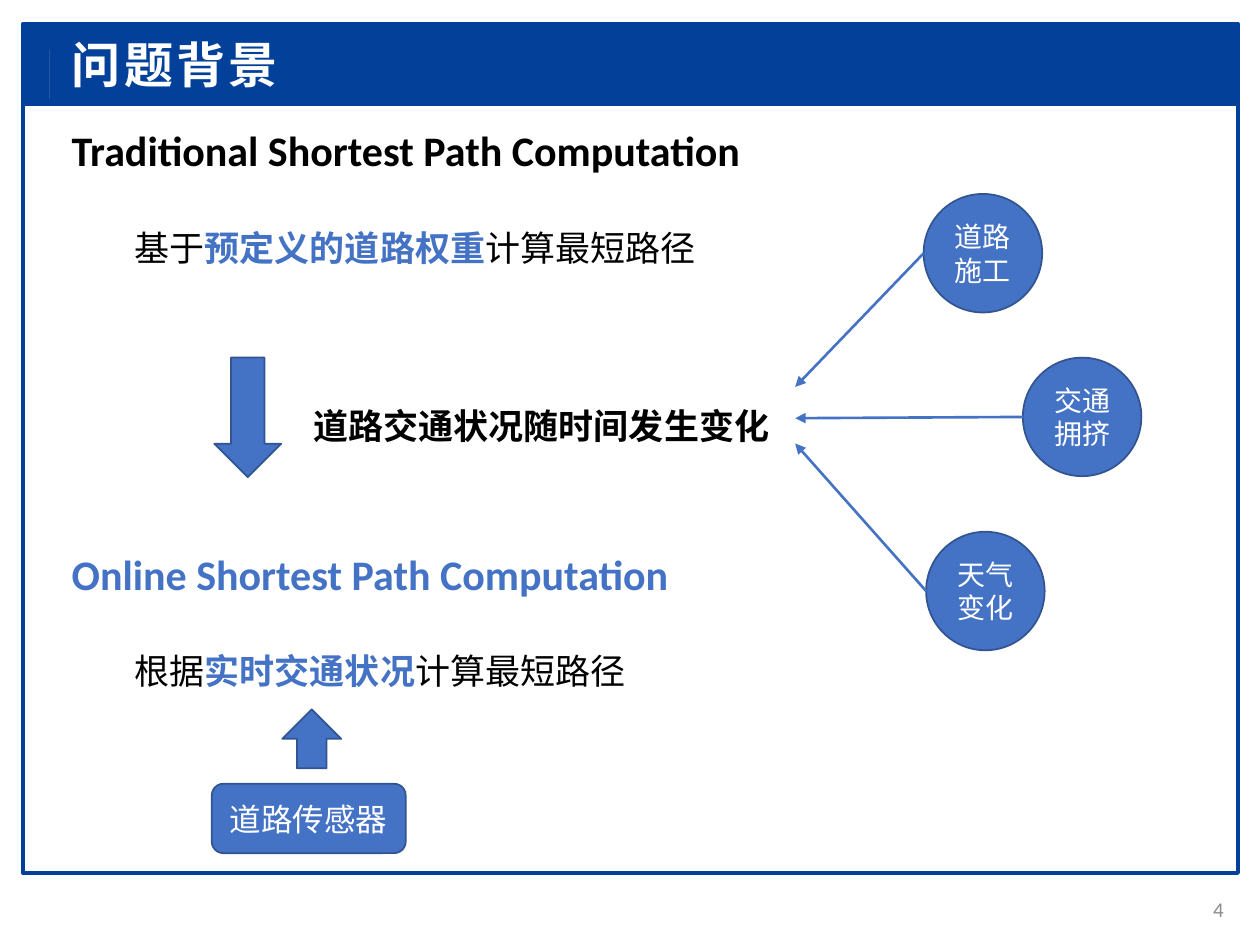
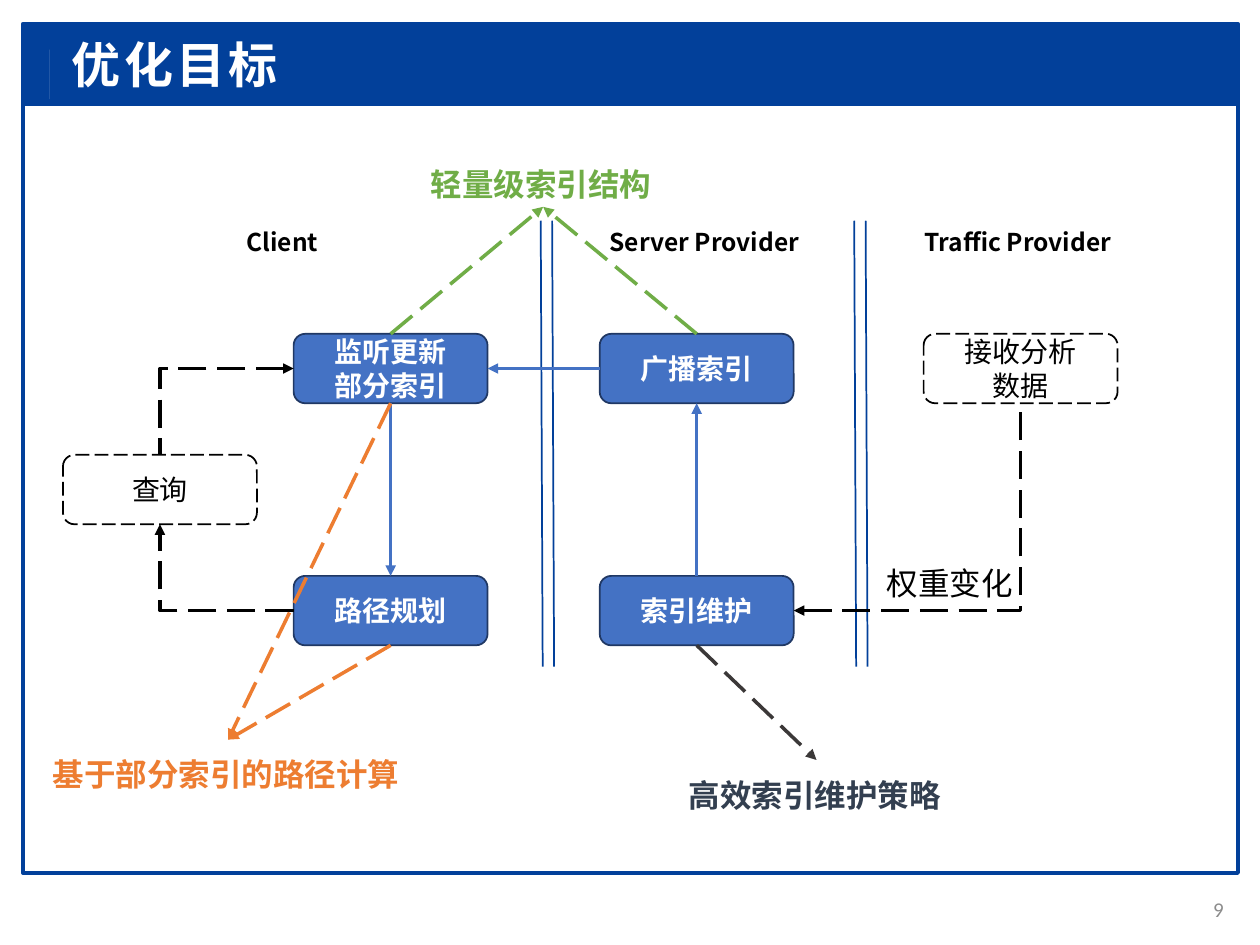
import pptx
import pptx.dml.color
import pptx.enum.dml
import pptx.enum.shapes
import pptx.enum.text
import pptx.oxml.ns
import pptx.util
from lxml import etree
from pptx.util import Cm

RGBColor = pptx.dml.color.RGBColor
SHAPE = pptx.enum.shapes.MSO_SHAPE
CONNECTOR = pptx.enum.shapes.MSO_CONNECTOR
ANCHOR = pptx.enum.text.MSO_ANCHOR
ALIGN = pptx.enum.text.PP_ALIGN
qn = pptx.oxml.ns.qn

NAVY = RGBColor(0x02, 0x40, 0x9A)
BLUE = RGBColor(0x44, 0x72, 0xC4)
EDGE_BLUE = RGBColor(0x32, 0x54, 0x91)
NODE_EDGE = RGBColor(0x20, 0x38, 0x64)
YELLOW = RGBColor(0xFF, 0xCC, 0x00)
GREEN = RGBColor(0x70, 0xAD, 0x47)
ORANGE = RGBColor(0xED, 0x7D, 0x31)
CHARCOAL = RGBColor(0x3B, 0x38, 0x38)
SLATE = RGBColor(0x33, 0x3F, 0x50)
GREY = RGBColor(0x8C, 0x8C, 0x8C)
BLACK = RGBColor(0, 0, 0)
WHITE = RGBColor(0xFF, 0xFF, 0xFF)
LATIN, CHINESE = "Calibri", "Noto Sans CJK SC"

# Shared frame, in centimetres
FRAME_LEFT, FRAME_WIDTH = 0.46, 24.5
HEADER = (FRAME_LEFT, 0.48, FRAME_WIDTH, 1.63)
FRAME = (FRAME_LEFT, 2.11, FRAME_WIDTH, 15.49)
CHEVRON = [(0.56, 0.82), (1.1, 1.22), (0.56, 1.6), (0.56, 1.49), (0.89, 1.22), (0.56, 0.95)]
CHEVRON_CORE = [(0.56, 1.11), (0.73, 1.22), (0.56, 1.33)]
TITLE_AREA = (1.19, 0.56, 9.04, 1.45)
NUMBER_AREA = (23.42, 17.81, 1.5, 1.02)

# Slide 1: heading, heading colour, text as (before, emphasis, after), area
TOPICS = [
    ("Traditional Shortest Path Computation", BLACK,
     ("基于", "预定义的道路权重", "计算最短路径"), (1.19, 2.39, 17.25, 3.33)),
    ("Online Shortest Path Computation", BLUE,
     ("根据", "实时交通状况", "计算最短路径"), (1.19, 10.92, 18.1, 3.33)),
]
CHANGE_TEXT, CHANGE_AREA = "道路交通状况随时间发生变化", (6.07, 7.82, 9.96, 1.24)
CAUSE_SIZE = 2.39
CAUSE_TARGET_X = 16.03
CAUSES = [  # text, left, top, height where its arrow ends
    ("道路施工", 18.62, 3.91, 7.8),
    ("交通拥挤", 20.62, 7.21, 8.43),
    ("天气变化", 18.67, 10.72, 8.94),
]
SENSOR = "道路传感器"

# Slide 2: columns and rows of the flow
NODE_WIDTH, NODE_HEIGHT = 3.91, 1.4
COLUMN = {"query": 1.27, "client": 5.92, "server": 12.09, "traffic": 18.62}
ROW = [6.73 + 2.44 * step for step in range(3)]
NODES = {  # name: (text, column, row, filled)
    "listen": ("监听更新\n部分索引", "client", 0, True),
    "plan": ("路径规划", "client", 2, True),
    "broadcast": ("广播索引", "server", 0, True),
    "maintain": ("索引维护", "server", 2, True),
    "query": ("查询", "query", 1, False),
    "receive": ("接收分析\n数据", "traffic", 0, False),
}
TOP, LEFT, BOTTOM, RIGHT = range(4)
FLOWS = [("listen", BOTTOM, "plan", TOP), ("broadcast", LEFT, "listen", RIGHT),
         ("maintain", TOP, "broadcast", BOTTOM)]
BENDS = [  # horizontal part first; which end has the arrowhead
    ("listen", LEFT, "query", TOP, "headEnd"),
    ("plan", LEFT, "query", BOTTOM, "tailEnd"),
    ("maintain", RIGHT, "receive", BOTTOM, "headEnd"),
]
GOAL_LINKS = [
    ("listen", TOP, (10.95, 4.17), GREEN), ("broadcast", TOP, (10.95, 4.17), GREEN),
    ("listen", BOTTOM, (4.6, 14.91), ORANGE), ("plan", BOTTOM, (4.6, 14.91), ORANGE),
    ("maintain", BOTTOM, (16.46, 15.32), CHARCOAL),
]
GOALS = [("轻量级索引结构", GREEN, (8.43, 3.02, 6, 1.14)),
         ("高效索引维护策略", SLATE, (13.64, 15.32, 6.5, 1.14)),
         ("基于部分索引的路径计算", ORANGE, (0.81, 14.91, 8.5, 1.14))]
PARTIES = [("Client", 4.72), ("Server Provider", 12.04), ("Traffic Provider", 18.39)]
DIVIDERS = [10.9, 17.22]
DIVIDER_TOP, DIVIDER_BOTTOM, DIVIDER_GAP = 4.45, 13.44, 0.23


def lengths(values):
    return [Cm(value) for value in values]


def style(para, size, color, bold=False, align=None, latin=LATIN):
    font = para.font
    font.size, font.bold, font.name = pptx.util.Pt(size), bold, latin
    font.color.rgb = color
    properties = para._p.pPr.find(qn("a:defRPr"))
    properties.find(qn("a:latin")).addnext(
        etree.Element(qn("a:ea"), typeface=CHINESE))
    if align is not None:
        para.alignment = align


def add_text(page, text, area, size, color, spacing=None, anchor=ANCHOR.TOP, **options):
    frame = page.shapes.add_textbox(*lengths(area)).text_frame
    frame.word_wrap = True
    frame.vertical_anchor = anchor
    frame.text = text
    para = frame.paragraphs[0]
    para.line_spacing = spacing
    style(para, size, color, **options)


def paint(shape, fill, edge, width=1):
    shape.shadow.inherit = False
    if fill is None:
        shape.fill.background()
    else:
        shape.fill.solid()
        shape.fill.fore_color.rgb = fill
    if edge is None:
        shape.line.fill.background()
    else:
        shape.line.color.rgb = edge
        shape.line.width = pptx.util.Pt(width)


def add_shape(page, kind, area, fill=BLUE, edge=EDGE_BLUE, width=1,
              text="", size=16, color=WHITE, bold=False):
    shape = page.shapes.add_shape(kind, *lengths(area))
    paint(shape, fill, edge, width)
    if text:
        shape.text_frame.text = text
        shape.text_frame.vertical_anchor = ANCHOR.MIDDLE
        for para in shape.text_frame.paragraphs:
            style(para, size, color, bold, ALIGN.CENTER)
    return shape


def add_outline(page, points, fill):
    builder = page.shapes.build_freeform(*points[0], scale=Cm(1))
    builder.add_line_segments(points[1:], close=True)
    shape = builder.convert_to_shape()
    paint(shape, fill, None)
    return shape


def add_line(page, start, end, color, width, arrow=None, dashed=False, bent=False):
    kind = CONNECTOR.ELBOW if bent else CONNECTOR.STRAIGHT
    line = page.shapes.add_connector(kind, *start, *end)
    line.line.color.rgb = color
    line.line.width = pptx.util.Pt(width)
    if dashed:
        line.line.dash_style = pptx.enum.dml.MSO_LINE.LONG_DASH
    properties = line._element.spPr
    if arrow:
        etree.SubElement(properties.find(qn("a:ln")), qn("a:" + arrow), type="triangle")
    if bent:
        properties.find(qn("a:prstGeom")).set("prst", "bentConnector2")
    etree.SubElement(properties, qn("a:effectLst"))
    return line


def side_point(shape, side):
    middle_x, middle_y = shape.left + shape.width // 2, shape.top + shape.height // 2
    return [(middle_x, shape.top), (shape.left, middle_y),
            (middle_x, shape.top + shape.height),
            (shape.left + shape.width, middle_y)][side]


def add_master_frame(deck, page):
    """Draw the frame on a page, then move it behind everything on the master."""
    parts = [add_shape(page, SHAPE.RECTANGLE, FRAME, None, NAVY, 2),
             add_shape(page, SHAPE.RECTANGLE, HEADER, NAVY, NAVY, 2),
             add_outline(page, CHEVRON, WHITE),
             add_outline(page, CHEVRON_CORE, YELLOW)]
    tree = deck.slide_master.shapes._spTree
    for order, part in enumerate(parts):
        part._element.nvSpPr.cNvPr.set("id", str(100 + order))
        tree.insert(2 + order, part._element)


def add_page(deck, layout, title, number):
    page = deck.slides.add_slide(deck.slide_layouts.get_by_name(layout))
    box = page.shapes.title
    box.left, box.top, box.width, box.height = lengths(TITLE_AREA)
    frame = box.text_frame
    frame.text = title
    frame.vertical_anchor = ANCHOR.TOP
    frame.auto_size = pptx.enum.text.MSO_AUTO_SIZE.NONE
    para = frame.paragraphs[0]
    style(para, 28, WHITE, True, ALIGN.LEFT)
    para._p.pPr.find(qn("a:defRPr")).set("spc", "200")
    add_text(page, str(number), NUMBER_AREA, 12, GREY, anchor=ANCHOR.MIDDLE, align=ALIGN.RIGHT)
    return page


def fill_topic(box, heading, color, parts, area):
    box.left, box.top, box.width, box.height = lengths(area)
    frame = box.text_frame
    frame.auto_size = pptx.enum.text.MSO_AUTO_SIZE.NONE
    detail_para = frame.add_paragraph()
    for para, indent, gap in ((frame.paragraphs[0], 0, 0), (detail_para, 1.27, 29)):
        properties = para._p.get_or_add_pPr()
        properties.set("marL", str(Cm(indent)))
        properties.set("indent", "0")
        etree.SubElement(properties, qn("a:buNone"))
        para.space_before = pptx.util.Pt(gap)
    frame.paragraphs[0].add_run().text = heading
    style(frame.paragraphs[0], 24, color, True)
    style(detail_para, 20, BLACK)
    for order, part in enumerate(parts):
        span = detail_para.add_run()
        span.text = part
        if order == 1:
            span.font.bold = True
            span.font.color.rgb = BLUE


def build_background(page):
    for box, topic in zip(list(page.placeholders)[1:], TOPICS):
        fill_topic(box, *topic)
    add_shape(page, SHAPE.DOWN_ARROW, (4.32, 7.21, 1.35, 2.41))
    add_text(page, CHANGE_TEXT, CHANGE_AREA, 20, BLACK, spacing=1.25, bold=True)
    # Causes pointing at the change
    for text, left, top, target_y in CAUSES:
        circle = add_shape(page, SHAPE.OVAL, (left, top, CAUSE_SIZE, CAUSE_SIZE), text=text)
        add_line(page, side_point(circle, LEFT), lengths((CAUSE_TARGET_X, target_y)),
                 BLUE, 1.5, "tailEnd")
    # Sensor feeding the online computation
    add_shape(page, SHAPE.ROUNDED_RECTANGLE, (4.27, 15.8, NODE_WIDTH, NODE_HEIGHT),
              text=SENSOR, size=18)
    add_shape(page, SHAPE.UP_ARROW, (5.69, 14.3, 1.19, 1.19))


def build_goals(page):
    # Parties and the double lines between them
    for name, left in PARTIES:
        add_text(page, name, (left, 4.45, 5, 0.86), 14, BLACK, bold=True, latin=CHINESE)
    for divider in DIVIDERS:
        for x in (divider, divider + DIVIDER_GAP):
            add_line(page, lengths((x, DIVIDER_TOP)), lengths((x + 0.04, DIVIDER_BOTTOM)), NAVY, 1)
    # Flow nodes
    nodes = {}
    for name, (text, column, row, filled) in NODES.items():
        area = (COLUMN[column], ROW[row], NODE_WIDTH, NODE_HEIGHT)
        fill, edge, color = (BLUE, NODE_EDGE, WHITE) if filled else (None, BLACK, BLACK)
        nodes[name] = add_shape(page, SHAPE.ROUNDED_RECTANGLE, area, fill, edge,
                                text=text, color=color, bold=filled)
        if not filled:
            nodes[name].line.dash_style = pptx.enum.dml.MSO_LINE.LONG_DASH
    # Flow arrows
    for source, source_side, target, target_side in FLOWS:
        line = add_line(page, side_point(nodes[source], source_side),
                        side_point(nodes[target], target_side), BLUE, 2, "tailEnd")
        line.begin_connect(nodes[source], source_side)
        line.end_connect(nodes[target], target_side)
    for source, source_side, target, target_side, arrow in BENDS:
        add_line(page, side_point(nodes[source], source_side),
                 side_point(nodes[target], target_side), BLACK, 2, arrow, True, True)
    add_text(page, "权重变化", (17.5, 11.25, 3.3, 1.02), 18, BLACK, align=ALIGN.CENTER)
    # Goals and their links
    for source, side, target, color in GOAL_LINKS:
        line = add_line(page, side_point(nodes[source], side), lengths(target),
                        color, 2, "tailEnd", True)
        line.begin_connect(nodes[source], side)
    for text, color, area in GOALS:
        add_text(page, text, area, 18, color, spacing=1.25, bold=True)


def main():
    deck = pptx.Presentation()
    deck.slide_width, deck.slide_height = lengths((25.4, 19.05))
    background = add_page(deck, "Two Content", "问题背景", 4)
    add_master_frame(deck, background)
    build_background(background)
    build_goals(add_page(deck, "Title Only", "优化目标", 9))
    deck.save("out.pptx")


if __name__ == "__main__":
    main()
